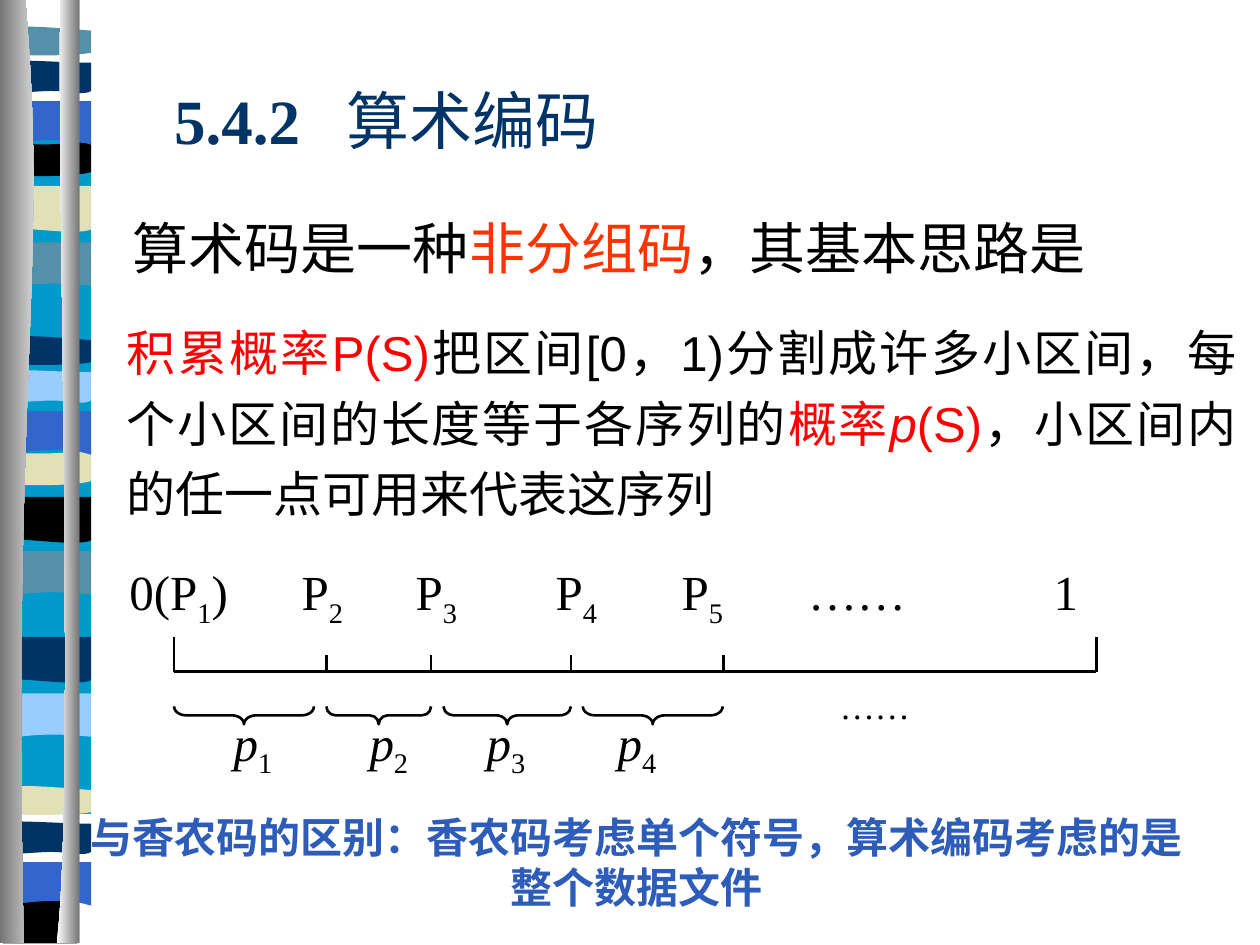
from dataclasses import dataclass
from typing import NamedTuple

from pptx import Presentation
from pptx.dml.color import RGBColor
from pptx.enum.shapes import MSO_CONNECTOR, MSO_SHAPE
from pptx.enum.text import MSO_ANCHOR, PP_ALIGN
from pptx.oxml.ns import qn
from pptx.util import Cm, Pt
from lxml.etree import SubElement


@dataclass(frozen=True)
class Theme:
    serif: str = "Times New Roman"
    sans: str = "Arial"
    black: str = "000000"
    navy: str = "003366"
    cyan: str = "0099CC"
    steel: str = "5490A8"
    sand: str = "E1E1B7"
    blue: str = "3366CC"
    light: str = "99CCFF"
    white: str = "FFFFFF"
    grey: str = "767676"
    red: str = "FF0000"
    orange: str = "FF3300"
    note: str = "2D5CB9"
    title_size: int = 36
    lead_size: int = 32
    body_size: int = 28
    note_size: int = 24
    dots_size: int = 20
    line_width: float = 1.5


class Box(NamedTuple):
    left: float
    top: float
    width: float
    height: float


class Span(NamedTuple):
    text: str
    color: str | None = None
    bold: bool | None = None
    italic: bool | None = None
    subscript: bool = False


class Band(NamedTuple):
    outline: list
    top: float
    color: str


theme = Theme()

# Outlines in cm: a pair is a straight step, six numbers are a Bézier step.
SWEEP = [(1.5, 0), (1.5, 1.2), (.46, .99, .25, 1.4, 0, 1.2), (0, 0)]
DIP = [(1.5, 0), (1.5, 1.2), (1.25, 1.4, .46, 1.07, 0, 1.2), (0, 0)]
LENS = [(1.5, .13), (1.5, .74), (1.25, .84, .25, .84, 0, .74), (0, .13),
        (.1, 0, .33, .02, .58, .02), (.82, .02, 1.3, .1, 1.5, .13)]
SAG = [(1.5, 0), (1.5, .82), (1.25, .97, .25, .97, 0, .82), (0, 0),
       (.91, .13, 1.17, 0, 1.5, 0)]
ARCH = [(1.5, 0), (1.5, 1.2), (1.27, 1.07, 1.17, 1.07, .91, 1.07),
        (.66, 1.07, .23, 1.2, 0, 1.2), (0, 0)]
RIPPLE = [(1.5, .14), (1.5, .92), (1.4, 1.05, 1.17, .92, .91, .92),
          (.66, .92, .15, 1.05, 0, .92), (0, .14), (.2, 0, 1.02, .14, 1.5, .14)]
FOOT = [(1.5, 0), (1.5, .94), (0, .94), (0, 0), (.94, .13, 1.2, 0, 1.5, 0)]
BACKING = [(0, 0), (1.5, 0), (1.5, 19), (0, 19)]
LEFT_POST = [(.51, 0), (.99, 5.49, .23, 7.52, .48, 19.02), (0, 19.02), (0, 0)]
RIGHT_POST = [(1.22, 0), (1.14, 3.18, 1.52, 16.41, 1.14, 19.02), (1.6, 19.02), (1.6, 0)]

BAND_LEFT = .06
BAND_STRETCH = (1.37, .73)
BANDS = [
    Band(BACKING, -.02, theme.cyan),
    Band(SWEEP, 4.7, theme.steel), Band(DIP, 3.56, theme.sand),
    Band(LENS, .41, theme.steel), Band(SAG, 2.74, theme.black),
    Band(ARCH, 1.88, theme.blue), Band(RIPPLE, 1.02, theme.navy),
    Band(SWEEP, 10.92, theme.steel), Band(DIP, 9.83, theme.black),
    Band(LENS, 6.65, theme.navy), Band(SAG, 8.97, theme.sand),
    Band(ARCH, 8.13, theme.blue), Band(RIPPLE, 7.26, theme.light),
    Band(SWEEP, 13.79, theme.light), Band(DIP, 12.65, theme.navy),
    Band(LENS, 15.72, theme.sand), Band(FOOT, 18.08, theme.black),
    Band(ARCH, 17.22, theme.blue), Band(RIPPLE, 16.36, theme.navy),
]

AXIS_Y = 13.54
END_TICKS = [3.51, 22.1]
INNER_TICKS = [6.58, 8.69, 11.51, 14.58]
BRACES = [(3.51, 6.33), (6.58, 8.69), (8.94, 11.51), (11.75, 14.57)]


def bend_steps(shape, outline: list) -> None:
    """Join the three straight steps laid for each Bézier step into one curve."""
    lines = iter(list(shape._element.iter(qn("a:lnTo"))))
    for step in outline[1:]:
        line = next(lines)
        if len(step) == 2:
            continue
        curve = line.makeelement(qn("a:cubicBezTo"))
        line.addprevious(curve)
        for part in (line, next(lines), next(lines)):
            curve.append(part[0])
            part.getparent().remove(part)


def draw_outline(page, outline: list, left: float, top: float, *colors: str,
                 stretch: tuple[float, float] = (1, 1)) -> None:
    """Fill with one colour or a left-to-right gradient; stretch about the centre."""
    points = [(Cm(left + step[i]), Cm(top + step[i + 1]))
              for step in outline for i in range(0, len(step), 2)]
    builder = page.shapes.build_freeform(*points[0], scale=1.0)
    builder.add_line_segments(points[1:], close=True)
    shape = builder.convert_to_shape()
    bend_steps(shape, outline)
    width, height = (int(size * factor)
                     for size, factor in zip((shape.width, shape.height), stretch))
    shape.left += (shape.width - width) // 2
    shape.top += (shape.height - height) // 2
    shape.width, shape.height = width, height
    shape.shadow.inherit = False
    shape.line.fill.background()
    if len(colors) == 1:
        shape.fill.solid()
        shape.fill.fore_color.rgb = RGBColor.from_string(colors[0])
    else:
        shape.fill.gradient()
        shape.fill.gradient_angle = 0
        for stop, color in zip(shape.fill.gradient_stops, colors):
            stop.color.rgb = RGBColor.from_string(color)


def draw_line(page, x1: float, y1: float, x2: float, y2: float) -> None:
    line = page.shapes.add_connector(MSO_CONNECTOR.STRAIGHT, Cm(x1), Cm(y1), Cm(x2), Cm(y2))
    line.line.color.rgb = RGBColor.from_string(theme.black)
    line.line.width = Pt(theme.line_width)
    SubElement(line._element.spPr, qn("a:effectLst"))


def draw_brace(page, start: float, end: float, middle: float = 14.42,
               depth: float = .36) -> None:
    """Draw a brace under the span from start to end, pointing down."""
    length = end - start
    brace = page.shapes.add_shape(
        MSO_SHAPE.LEFT_BRACE, Cm((start + end - depth) / 2), Cm(middle - length / 2),
        Cm(depth), Cm(length))
    brace.rotation = 270
    brace.adjustments[0] = .24 * length
    brace.shadow.inherit = False
    brace.fill.background()
    brace.line.color.rgb = RGBColor.from_string(theme.black)
    brace.line.width = Pt(theme.line_width)


def draw_text(page, box: Box, spans: list[Span], *, size: float, color: str = theme.black,
              font: str = theme.serif, bold: bool = False, wrap: bool = True,
              align=PP_ALIGN.LEFT, anchor=MSO_ANCHOR.TOP, spacing: float = 1.0,
              inset: float = .25, tabs: tuple[float, ...] = ()) -> None:
    """Tabs are places on the page, in cm from its left edge."""
    frame = page.shapes.add_textbox(*map(Cm, box)).text_frame
    frame.word_wrap = wrap
    frame.vertical_anchor = anchor
    frame.margin_left = Cm(inset)
    para = frame.paragraphs[0]
    para.alignment = align
    para.line_spacing = spacing
    if tabs:
        stops = SubElement(para._p.get_or_add_pPr(), qn("a:tabLst"))
        for tab in tabs:
            SubElement(stops, qn("a:tab"), pos=str(Cm(tab - box.left - inset)), algn="l")
    for span in spans:
        run = para.add_run()
        run.text = span.text
        run.font.name = font
        run.font.size = Pt(size)
        run.font.bold = bold if span.bold is None else span.bold
        run.font.italic = span.italic
        run.font.color.rgb = RGBColor.from_string(span.color or color)
        if span.subscript:
            run.font._element.set("baseline", "-25000")


def indexed(letter: str, index: int, italic: bool = False) -> list[Span]:
    return [Span(letter, italic=italic), Span(str(index), subscript=True)]


def draw_scale(page) -> None:
    draw_line(page, END_TICKS[0], AXIS_Y, END_TICKS[1], AXIS_Y)
    for ticks, height in ((END_TICKS, .69), (INNER_TICKS, .33)):
        for x in ticks:
            draw_line(page, x, AXIS_Y, x, AXIS_Y - height)
    for start, end in BRACES:
        draw_brace(page, start, end)

    bounds = indexed("0(P", 1) + [Span(")")]
    for index in range(2, 6):
        bounds += indexed("\tP", index)
    bounds.append(Span("\t……\t1"))
    draw_text(page, Box(1.88, 11.2, 23.52, 1.45), bounds, size=theme.body_size, inset=.73,
              tabs=(6.08, 8.38, 11.2, 13.74, 16.29, 21.24))
    draw_text(page, Box(15.01, 13.67, 6.83, 1.09), [Span("……")], size=theme.dots_size,
              inset=1.92)
    lengths = indexed("p", 1, italic=True)
    for index in range(2, 5):
        lengths += indexed("\tp", index, italic=True)
    draw_text(page, Box(4.47, 14.24, 16.23, 1.45), lengths, size=theme.body_size,
              inset=.24, tabs=(7.45, 9.81, 12.45))


def main() -> None:
    deck = Presentation()
    deck.slide_width, deck.slide_height = Cm(25.4), Cm(19.05)
    page = deck.slides.add_slide(deck.slide_layouts[6])

    for band in BANDS:
        stretch = (1, 1) if band.outline is FOOT else BAND_STRETCH
        draw_outline(page, band.outline, BAND_LEFT, band.top, band.color, stretch=stretch)
    draw_outline(page, LEFT_POST, 0, 0, theme.grey, theme.white)
    draw_outline(page, RIGHT_POST, 0, 0, theme.white, theme.grey)

    draw_text(page, Box(2.31, 6.14, 22.86, 6.4), [
        Span("积累概率P(S)", theme.red),
        Span("把区间[0，1)分割成许多小区间，每个小区间的长度等于各序列的"),
        Span("概率", theme.red), Span("p", theme.red, italic=True), Span("(S)", theme.red),
        Span("，小区间内的任一点可用来代表这序列"),
    ], size=theme.body_size, font=theme.sans, align=PP_ALIGN.JUSTIFY, spacing=1.2)
    draw_scale(page)
    draw_text(page, Box(3.26, 1.27, 21.59, 2.26),
              [Span("5.4.2\t", bold=True), Span("算术编码")], size=theme.title_size,
              color=theme.navy, anchor=MSO_ANCHOR.MIDDLE, tabs=(6.98,))
    draw_text(page, Box(2.43, 4.17, 19.89, 1.63), [
        Span("算术码是一种"), Span("非分组码", theme.orange), Span("，其基本思路是"),
    ], size=theme.lead_size, wrap=False)
    draw_text(page, Box(1.4, 16.23, 22.86, 2.31),
              [Span("与香农码的区别：香农码考虑单个符号，算术编码考虑的是整个数据文件")],
              size=theme.note_size, color=theme.note, bold=True, align=PP_ALIGN.CENTER)
    deck.save("out.pptx")


if __name__ == "__main__":
    main()
